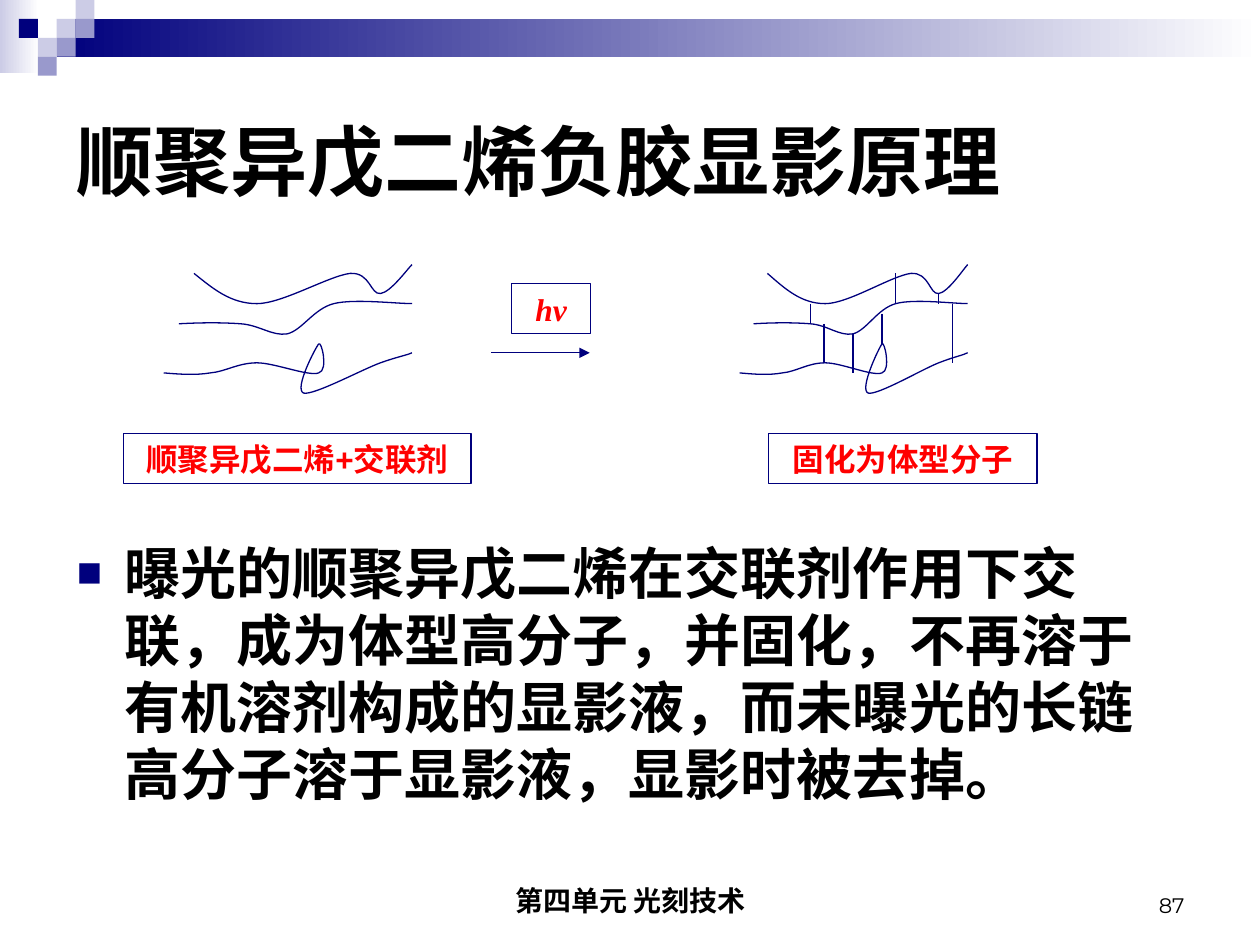
from lxml.etree import SubElement as Sub
from pptx import Presentation
from pptx.dml.color import RGBColor as RGB
from pptx.enum.shapes import MSO_CONNECTOR as Conn, MSO_SHAPE as Shape
from pptx.enum.text import MSO_ANCHOR as Anchor, MSO_AUTO_SIZE as Fit, PP_ALIGN as Align
from pptx.oxml.ns import qn
from pptx.util import Inches, Pt

NAVY = RGB(0x00, 0x00, 0x7D)
MID = RGB(0x99, 0x99, 0xCC)
PALE = RGB(0xCC, 0xCC, 0xE6)
WHITE = RGB(0xFF, 0xFF, 0xFF)
BLACK = RGB(0, 0, 0)
RED = RGB(0xFF, 0, 0)
CELL = 0.15
TILES = [(3, 1, PALE), (4, 0, PALE), (4, 1, MID), (2, 2, PALE),
         (1, 1, NAVY), (3, 2, MID), (2, 3, MID)]
CHAINS = [
    [(1.54, 2.17), (1.69, 2.29), (1.83, 2.41), (2.04, 2.41), (2.24, 2.41),
     (2.61, 2.19), (2.78, 2.17), (2.94, 2.16), (2.94, 2.34), (3.02, 2.33),
     (3.1, 2.32), (3.23, 2.14), (3.27, 2.1)],
    [(1.42, 2.57), (1.6, 2.56), (1.77, 2.56), (1.91, 2.57), (2.06, 2.58),
     (2.16, 2.67), (2.28, 2.65), (2.4, 2.62), (2.49, 2.45), (2.65, 2.41),
     (2.81, 2.37), (3.14, 2.41), (3.27, 2.41)],
    [(1.3, 2.96), (1.42, 2.97), (1.55, 2.98), (1.67, 2.96), (1.79, 2.95),
     (1.89, 2.88), (2.04, 2.88), (2.18, 2.88), (2.45, 2.99), (2.53, 2.96),
     (2.61, 2.94), (2.55, 2.7), (2.53, 2.73), (2.51, 2.75), (2.33, 3.09),
     (2.41, 3.12), (2.49, 3.14), (2.88, 2.93), (3.02, 2.88), (3.16, 2.83),
     (3.23, 2.82), (3.27, 2.8)],
]
LINKS = [(6.43, 2.41, 2.57), (7, 2.49, 2.73), (7.45, 2.33, 2.41), (6.77, 2.65, 2.96),
         (7.56, 2.41, 2.88), (7.11, 2.17, 2.41), (6.54, 2.57, 2.88)]


def write(shape, text, size, face, color, bold=True, italic=False,
          align=Align.LEFT, anchor=Anchor.MIDDLE, wrap=True):
    """Put one formatted paragraph in a shape and return it."""
    frame = shape.text_frame
    frame.text = text
    frame.auto_size = Fit.NONE
    frame.word_wrap = wrap
    frame.vertical_anchor = anchor
    para = frame.paragraphs[0]
    para.alignment = align
    para.space_before = Pt(0)
    font = para.font
    font.name, font.size, font.bold, font.italic = face, Pt(size), bold, italic
    font.color.rgb = color
    props = para._p.get_or_add_pPr()
    props.set("hangingPunct", "0")
    Sub(props.find(qn("a:defRPr")), qn("a:ea"), typeface=face)
    return para


def place(shape, x, y, w, h):
    """Move and size a placeholder."""
    shape.left, shape.top, shape.width, shape.height = map(Inches, (x, y, w, h))
    return shape


def block(slide, x, y, w, h, color, fade=False):
    """Draw a borderless block, plain or fading to white."""
    rect = slide.shapes.add_shape(Shape.RECTANGLE, *map(Inches, (x, y, w, h)))
    rect.shadow.inherit = False
    rect.line.fill.background()
    if fade:
        rect.fill.gradient()
        rect.fill.gradient_angle = 0
        for stop, tone, pos in zip(rect.fill.gradient_stops, (color, WHITE), (0, 1)):
            stop.color.rgb, stop.position = tone, pos
    else:
        rect.fill.solid()
        rect.fill.fore_color.rgb = color


def outline(shape):
    """Give a shape the thin navy line and no fill."""
    shape.shadow.inherit = False
    shape.fill.background()
    shape.line.color.rgb = NAVY
    shape.line.width = Pt(0.75)


def label(slide, x, y, w, text, face="Arial", italic=False):
    """Draw a framed red label."""
    rect = slide.shapes.add_shape(Shape.RECTANGLE, *map(Inches, (x, y, w, 0.4)))
    outline(rect)
    write(rect, text, 18, face, RED, italic=italic, align=Align.CENTER, wrap=False)


def bend(shape):
    """Turn each three straight segments of a freeform into one cubic curve."""
    legs = list(shape._element.iter(qn("a:lnTo")))
    track = legs[0].getparent()
    for i in range(0, len(legs), 3):
        curve = Sub(track, qn("a:cubicBezTo"))
        for leg in legs[i:i + 3]:
            curve.append(leg[0])
            track.remove(leg)


def chains(slide, left, width):
    """Draw the three polymer chains across a given span."""
    for points in CHAINS:
        spots = [(Inches(left + (x - 1.3) * width / 1.97), Inches(y)) for x, y in points]
        pen = slide.shapes.build_freeform(*spots[0])
        pen.add_line_segments(spots[1:], close=False)
        chain = pen.convert_to_shape()
        bend(chain)
        outline(chain)


def line(slide, x1, y1, x2, y2, arrow=False):
    """Draw a thin navy line, with an arrowhead if asked."""
    link = slide.shapes.add_connector(Conn.STRAIGHT, *map(Inches, (x1, y1, x2, y2)))
    link.line.color.rgb = NAVY
    link.line.width = Pt(0.75)
    props = link._element.spPr
    if arrow:
        Sub(props.find(qn("a:ln")), qn("a:tailEnd"), type="triangle")
    Sub(props, qn("a:effectLst"))


def bullet(para):
    """Give a paragraph a navy square bullet."""
    props = para._p.get_or_add_pPr()
    props.set("marL", str(Inches(0.38)))
    props.set("indent", str(Inches(-0.38)))
    font = props.find(qn("a:defRPr"))
    props.remove(font)
    Sub(Sub(props, qn("a:buClr")), qn("a:srgbClr"), val=str(NAVY))
    Sub(props, qn("a:buSzPct"), val="75000")
    Sub(props, qn("a:buFont"), typeface="Arial")
    Sub(props, qn("a:buChar"), char="■")
    props.append(font)


def note(slide, x, w, text, size, face, bold, align):
    """Add a text at the foot of the slide."""
    box = slide.shapes.add_textbox(*map(Inches, (x, 6.83, w, 0.5)))
    write(box, text, size, face, BLACK, bold, align=align, anchor=Anchor.BOTTOM)


def main():
    """Build the slide and save it."""
    deck = Presentation()
    deck.slide_width, deck.slide_height = Inches(10), Inches(7.5)
    slide = deck.slides.add_slide(deck.slide_layouts[1])
    title, body = slide.placeholders

    block(slide, 0, 0, 0.31, 0.58, PALE, fade=True)
    block(slide, 0.45, 0.15, 9.55, 0.3, NAVY, fade=True)
    for col, row, color in TILES:
        block(slide, col * CELL, row * CELL, CELL, CELL, color)

    write(place(title, 0.51, 0.52, 9, 1.5), "顺聚异戊二烯负胶显影原理", 44, "Arial", BLACK)
    bullet(write(
        place(body, 0.51, 4.22, 8.83, 2.28),
        "曝光的顺聚异戊二烯在交联剂作用下交联，成为体型高分子，并固化，不再溶于"
        "有机溶剂构成的显影液，而未曝光的长链高分子溶于显影液，显影时被去掉。",
        32, "Arial", BLACK, anchor=Anchor.TOP))

    chains(slide, 1.3, 1.97)
    label(slide, 0.98, 3.44, 2.76, "顺聚异戊二烯+交联剂")
    line(slide, 3.9, 2.8, 4.68, 2.8, arrow=True)
    label(slide, 4.06, 2.25, 0.63, "hv", "Times New Roman", italic=True)
    chains(slide, 5.87, 1.81)
    for x, top, end in LINKS:
        line(slide, x, top, x, end)
    label(slide, 6.1, 3.44, 2.13, "固化为体型分子")

    note(slide, 3.42, 3.17, "第四单元 光刻技术", 16, "Noto Sans CJK SC", True, Align.CENTER)
    note(slide, 7.17, 2.33, "87", 12, "Montserrat", False, Align.RIGHT)
    deck.save("out.pptx")


if __name__ == "__main__":
    main()
